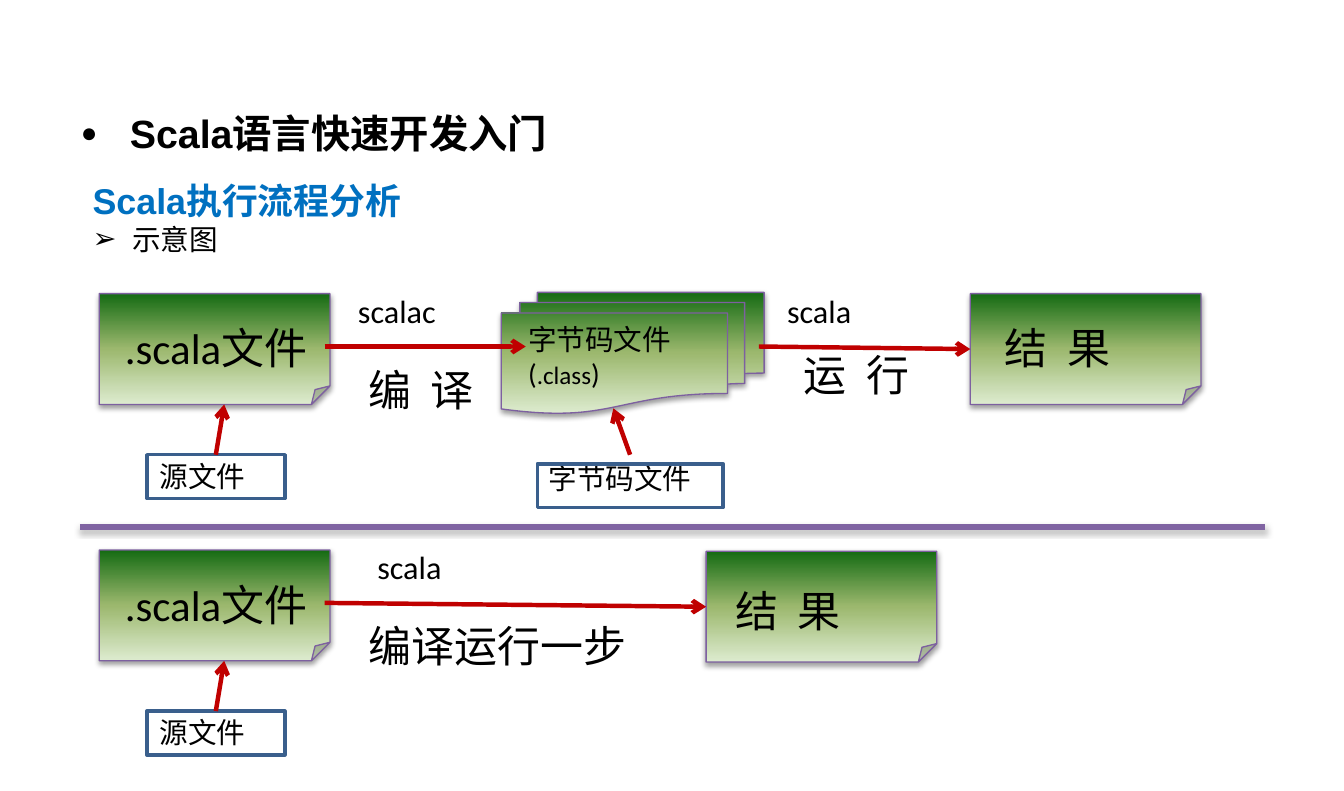
from dataclasses import dataclass

from lxml import etree
from pptx import Presentation
from pptx.dml.color import RGBColor
from pptx.enum.shapes import MSO_CONNECTOR, MSO_SHAPE
from pptx.oxml.ns import qn
from pptx.util import Inches, Pt

STRAIGHT = MSO_CONNECTOR.STRAIGHT
RECTANGLE = MSO_SHAPE.RECTANGLE
FOLDED = MSO_SHAPE.FOLDED_CORNER
MULTIDOC = MSO_SHAPE.FLOWCHART_MULTIDOCUMENT
TOP, LEFT = 0, 1


@dataclass(frozen=True)
class Theme:
    black: str = "000000"
    heading: str = "0070C0"
    arrow: str = "C00000"
    label: str = "3A5F8C"
    edge: str = "7D60A0"
    divider: str = "8064A2"
    gradient: tuple = ((0, "DDEBCF"), (50, "9CB86E"), (100, "156B13"))
    title_size: int = 22
    heading_size: int = 20
    big: int = 24
    command: int = 18
    body: int = 16
    small: int = 14
    heading_font: str = "Arial"
    font: str = "Calibri"
    cjk_font: str = "Noto Sans CJK SC"


def add(parent, tag, **attrs):
    child = etree.SubElement(parent, qn(tag))
    for name, value in attrs.items():
        child.set(name, str(value))
    return child


def add_color(parent, color):
    return add(parent, "a:srgbClr", val=color)


class FlowSlide:
    def __init__(self, prs, theme):
        self.theme = theme
        self.shapes = prs.slides.add_slide(prs.slide_layouts[6]).shapes

    def box(self, x, y, w, h):
        tb = self.shapes.add_textbox(Inches(x), Inches(y), Inches(w), Inches(h))
        tb.text_frame.word_wrap = True
        return tb.text_frame

    def style(self, p, size, font=None, color=None, bold=False):
        p.font.size = Pt(size)
        p.font.name = font or self.theme.font
        p.font.bold = bold
        p.font.color.rgb = RGBColor.from_string(color or self.theme.black)

    def text(self, x, y, w, h, text, size, font=None):
        p = self.box(x, y, w, h).paragraphs[0]
        p.text = text
        self.style(p, size, font)

    def spaced(self, x, y, w, h, first, last):
        p = self.box(x, y, w, h).paragraphs[0]
        for part in (first, " ", last):
            r = p.add_run()
            r.text = part
            if part == " ":
                r.font.element.set("spc", "540") if hasattr(r.font, "element") else r._r.get_or_add_rPr().set("spc", "540")
        self.style(p, self.theme.big)

    def bullet(self, p, char, indent, percent=100):
        pPr = p._p.get_or_add_pPr()
        pPr.set("marL", str(Inches(indent)))
        pPr.set("indent", str(-Inches(indent)))
        add_color(add(pPr, "a:buClr"), self.theme.black)
        add(pPr, "a:buSzPct", val=percent * 1000)
        add(pPr, "a:buFont", typeface=self.theme.heading_font)
        add(pPr, "a:buChar", char=char)

    def shadow(self, shape, alpha, distance):
        effects = shape.element.spPr.find(qn("a:effectLst"))
        outer = add(effects, "a:outerShdw", blurRad=Pt(3.1), dist=Pt(distance),
                    dir=5400000, rotWithShape=0)
        add(add_color(outer, self.theme.black), "a:alpha", val=alpha * 1000)

    def document(self, x, y, w=1.79, h=0.86, kind=FOLDED):
        sp = self.shapes.add_shape(kind, Inches(x), Inches(y), Inches(w), Inches(h))
        sp.fill.gradient()
        sp.fill.gradient_angle = 90
        stops = sp.element.spPr.find(qn("a:gradFill")).find(qn("a:gsLst"))
        stops.clear()
        for position, color in self.theme.gradient:
            add_color(add(stops, "a:gs", pos=position * 1000), color)
        sp.line.color.rgb = RGBColor.from_string(self.theme.edge)
        sp.line.width = Pt(0.75)
        sp.shadow.inherit = False
        self.shadow(sp, 38, 1.6)
        return sp

    def frame(self, x, y, w):
        sp = self.shapes.add_shape(RECTANGLE, Inches(x), Inches(y), Inches(w), Inches(0.34))
        sp.fill.background()
        sp.line.color.rgb = RGBColor.from_string(self.theme.label)
        sp.line.width = Pt(2)
        sp.shadow.inherit = False
        return sp

    def line(self, x1, y1, x2, y2, color, width):
        cn = self.shapes.add_connector(STRAIGHT, Inches(x1), Inches(y1), Inches(x2), Inches(y2))
        cn.line.color.rgb = RGBColor.from_string(color)
        cn.line.width = Pt(width)
        add(cn.element.spPr, "a:effectLst")
        return cn

    def arrow(self, x1, y1, x2, y2):
        cn = self.line(x1, y1, x2, y2, self.theme.arrow, 2.5)
        add(cn.element.spPr.find(qn("a:ln")), "a:tailEnd", type="arrow")
        return cn

    def divider(self, x1, x2, y):
        self.shadow(self.line(x1, y, x2, y, self.theme.divider, 3), 35, 1.8)

    def headings(self):
        t = self.theme
        p = self.box(0.53, 0.84, 8.3, 0.43).paragraphs[0]
        p.text = "Scala语言快速开发入门"
        p.line_spacing = 0.9
        p.space_before = Pt(4.4)
        self.bullet(p, "●", 0.38, 70)
        self.style(p, t.title_size, t.heading_font, bold=True)
        tf = self.box(0.62, 1.34, 9.2, 4.21)
        p = tf.paragraphs[0]
        p.text = "Scala执行流程分析"
        self.style(p, t.heading_size, t.heading_font, t.heading, True)
        p = tf.add_paragraph()
        p.text = "示意图"
        self.bullet(p, "➢", 0.31)
        self.style(p, t.body, t.heading_font)

    def source(self, y):
        self.document(0.77, y)
        self.text(0.87, y + 0.17, 1.73, 0.5, ".scala文件", self.theme.big)
        self.text(1.14, y + 1.23, 1.68, 0.37, "源文件", self.theme.body)
        frame = self.frame(1.14, y + 1.25, 1.07)
        self.arrow(1.66, y + 1.23, 1.74, y + 0.86).begin_connect(frame, TOP)

    def result(self, x, y, text_x, text_y, start_x, start_y):
        sp = self.document(x, y)
        self.spaced(text_x, text_y, 1.4, 0.51, "结", "果")
        self.arrow(start_x, start_y, x, y + 0.43).end_connect(sp, LEFT)

    def bytecode(self):
        t = self.theme
        self.document(3.89, 2.27, 2.04, 0.94, MULTIDOC)
        tf = self.box(4, 2.45, 1.81, 0.64)
        p = tf.paragraphs[0]
        p.text = "字节码文件"
        self.style(p, t.body)
        p = tf.add_paragraph()
        for part, size in (("(", t.body), (".class", t.small), (")", t.body)):
            r = p.add_run()
            r.text = part
            r.font.size = Pt(size)
        self.style(p, t.body)
        self.text(4.16, 3.53, 1.89, 0.37, "字节码文件", t.body, t.cjk_font)
        self.frame(4.17, 3.6, 1.44)
        self.arrow(4.89, 3.53, 4.76, 3.17)


def main():
    prs = Presentation()
    prs.slide_width, prs.slide_height = Inches(10.43), Inches(6.14)
    theme = Theme()
    s = FlowSlide(prs, theme)
    s.headings()

    s.source(2.28)
    s.bytecode()
    s.arrow(2.52, 2.69, 4.08, 2.69)
    s.result(7.53, 2.28, 7.7, 2.45, 5.89, 2.69)
    s.spaced(2.76, 2.77, 1.4, 0.51, "编", "译")
    s.spaced(6.14, 2.66, 1.32, 0.51, "运", "行")

    s.divider(0.62, 9.82, 4.09)

    s.source(4.27)
    s.result(5.48, 4.28, 5.61, 4.49, 2.52, 4.68)
    s.text(2.76, 4.76, 2.34, 0.5, "编译运行一步", theme.big)

    for x, y, command in ((2.68, 2.21, "scalac"), (6.01, 2.21, "scala"), (2.83, 4.2, "scala")):
        s.text(x, y, 1.4, 0.4, command, theme.command)

    prs.save("out.pptx")


if __name__ == "__main__":
    main()
